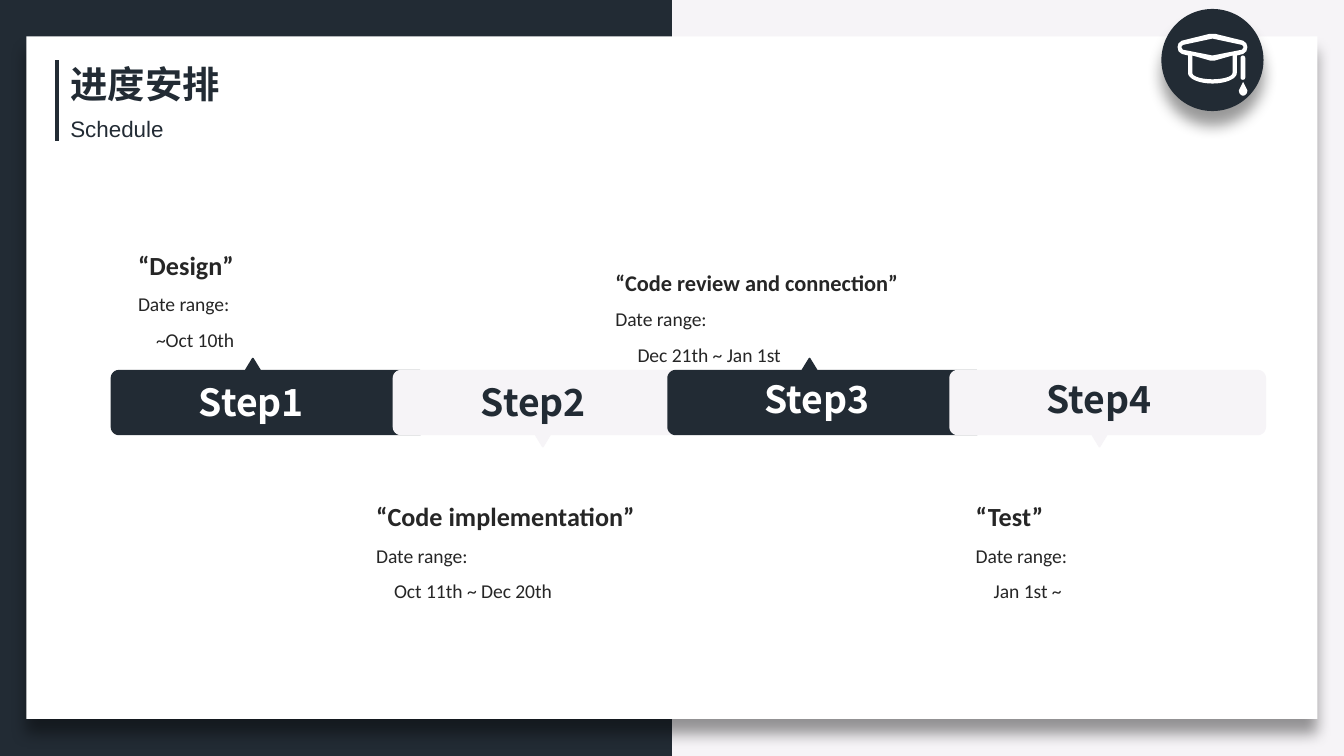
from math import cos, pi, sin

from lxml import etree
from pptx import Presentation
from pptx.dml.color import RGBColor
from pptx.enum.shapes import MSO_CONNECTOR, MSO_SHAPE
from pptx.enum.text import MSO_AUTO_SIZE
from pptx.oxml.ns import qn
from pptx.util import Cm, Pt

RECT = MSO_SHAPE.RECTANGLE
ROUNDED = MSO_SHAPE.ROUNDED_RECTANGLE
OVAL = MSO_SHAPE.OVAL
STRAIGHT = MSO_CONNECTOR.STRAIGHT
GROW = MSO_AUTO_SIZE.SHAPE_TO_FIT_TEXT

COLORS = {"navy": "222B34", "mist": "F6F4F7", "white": "FFFFFF",
          "body": "262626", "shadow": "000000"}
HEADING_FONT, LATIN_FONT, NOTE_FONT = "Noto Sans CJK SC", "Arial", "Calibri"
SLIDE_W, SLIDE_H = 25.4, 14.29

# Step label, its offset inside the bar, its top
STEPS = [("Step1", 1.4, 7.04), ("Step2", 1.4, 7.04),
         ("Step3", 1.57, 6.99), ("Step4", 1.57, 6.99)]
# Box, heading, heading size, date range, date indent
NOTES = [
    ((2.36, 4.29, 4.8, 2.49), "“Design”", 14, "~Oct 10th", 0.34),
    ((6.86, 9.04, 6.48, 2.49), "“Code implementation”", 14,
     "Oct 11th ~ Dec 20th", 0.34),
    ((11.38, 4.7, 7.54, 2.36), "“Code review and connection”", 12,
     "Dec 21th ~ Jan 1st", 0.42),
    ((18.19, 9.04, 4.8, 2.49), "“Test”", 14, "Jan 1st ~", 0.34),
]


def rgb(name):
    return RGBColor.from_string(COLORS[name])


def paint(shape, fill, line_width=0):
    shape.shadow.inherit = False
    shape.fill.solid()
    shape.fill.fore_color.rgb = rgb(fill)
    if line_width:
        shape.line.color.rgb = rgb(fill)
        shape.line.width = Pt(line_width)
    else:
        shape.line.fill.background()
    return shape


def add_preset(shapes, kind, box, fill):
    return paint(shapes.add_shape(kind, *map(Cm, box)), fill)


def drop_shadow(shape):
    effects = shape._element.spPr.find(qn("a:effectLst"))
    outer = etree.SubElement(effects, qn("a:outerShdw"), blurRad=str(Pt(8)),
                             dist=str(Pt(8)), dir="5400000", algn="t",
                             rotWithShape="0")
    color = etree.SubElement(outer, qn("a:srgbClr"), val=COLORS["shadow"])
    etree.SubElement(color, qn("a:alpha"), val="40000")


def arc(cx, cy, rx, ry, start, end, steps=12):
    """Points on an ellipse; angles in degrees, clockwise from the right."""
    angles = [(start + (end - start) * i / steps) * pi / 180
              for i in range(steps + 1)]
    return [(cx + rx * cos(a), cy + ry * sin(a)) for a in angles]


def mirrored(right_half):
    return right_half + [(-x, y) for x, y in reversed(right_half)]


def add_outline(shapes, left, top, contours, fill, line_width=0):
    placed = [[(Cm(left + x), Cm(top + y)) for x, y in contour]
              for contour in contours]
    builder = shapes.build_freeform(*placed[0][0], scale=1.0)
    for index, contour in enumerate(placed):
        if index:
            builder.move_to(*contour[0])
        builder.add_line_segments(contour[1:], close=True)
    return paint(builder.convert_to_shape(), fill, line_width)


def add_run(paragraph, text, size, font, color, bold=False):
    run = paragraph.add_run()
    run.text = text
    run.font.size = Pt(size)
    run.font.bold = bold
    run.font.color.rgb = rgb(color)
    run.font.name = font
    etree.SubElement(run.font._element, qn("a:ea"), typeface=font)


def add_text_frame(slide, box, wrap=False):
    frame = slide.shapes.add_textbox(*map(Cm, box)).text_frame
    frame.word_wrap = wrap
    frame.auto_size = GROW
    return frame


def add_backdrop(slide, left, top, width, height):
    slide.background.fill.solid()
    slide.background.fill.fore_color.rgb = rgb("mist")
    add_preset(slide.shapes, RECT, (left, top, width / 2, height), "navy")
    card = (left + 0.5, top + 0.69, width - 1, height - 1.39)
    drop_shadow(add_preset(slide.shapes, RECT, card, "white"))


def add_heading(slide, left, top, height):
    rule = slide.shapes.add_connector(STRAIGHT, Cm(left), Cm(top),
                                      Cm(left), Cm(top + height))
    rule.line.color.rgb = rgb("navy")
    rule.line.width = Pt(2.25)
    etree.SubElement(rule._element.spPr, qn("a:effectLst"))
    title = add_text_frame(slide, (left, top - 0.1, 3.35, 1.11))
    add_run(title.paragraphs[0], "进度安排", 20, HEADING_FONT, "navy", True)
    subtitle = add_text_frame(slide, (left, top + 0.92, 2.29, 0.77))
    add_run(subtitle.paragraphs[0], "Schedule", 12, LATIN_FONT, "navy")


def add_graduation_badge(slide, left, top, size):
    shapes = slide.shapes.add_group_shape().shapes
    drop_shadow(add_preset(shapes, OVAL, (left, top, size, size), "navy"))
    axis, cap_top = left + size / 2, top + 0.47
    silhouette = mirrored([(0, 0), (0.05, 0), (0.58, 0.13), (0.64, 0.18),
                           (0.66, 0.25), (0.64, 0.33), (0.58, 0.38),
                           (0.46, 0.41)] + arc(0, 0.74, 0.46, 0.2, 0, 90))
    board = mirrored([(0, 0.09), (0.56, 0.21), (0.59, 0.25),
                      (0.56, 0.3), (0, 0.41)])
    crown = mirrored([(0, 0.51), (0.03, 0.51), (0.38, 0.41)]
                     + arc(0, 0.74, 0.38, 0.12, 0, 90))
    add_outline(shapes, axis, cap_top, [silhouette, board, crown], "white")
    cord = add_preset(shapes, ROUNDED,
                      (axis + 0.53, cap_top + 0.41, 0.09, 0.46), "white")
    cord.adjustments[0] = 0.5
    tassel = [(0, 0)] + arc(0, 0.16, 0.08, 0.1, 0, 180)
    add_outline(shapes, axis + 0.58, cap_top + 0.91, [tassel], "white")


def add_step_bar(slide, left, top, width, height, dark):
    """Rounded bar with a pointer: up when dark, down when light."""
    radius, tip, half = 0.14, 0.23, 0.14
    corners = [(radius, radius, 180), (width - radius, radius, 270),
               (width - radius, height - radius, 0),
               (radius, height - radius, 90)]
    sides = [arc(x, y, radius, radius, start, start + 90, 6)
             for x, y, start in corners]
    if dark:
        sides.insert(1, [(2.67 - half, 0), (2.67, -tip), (2.67 + half, 0)])
    else:
        sides.insert(3, [(2.82 + half, height), (2.82, height + tip),
                         (2.82 - half, height)])
    add_outline(slide.shapes, left, top, [sum(sides, [])],
                "navy" if dark else "mist", 1)


def add_timeline(slide, left, top, width, height):
    pair_pitch, step_pitch = 10.52, 5.33
    bar_width = width - pair_pitch - step_pitch
    lefts = [left + i // 2 * pair_pitch + i % 2 * step_pitch
             for i in range(len(STEPS))]
    for i, bar_left in enumerate(lefts):
        add_step_bar(slide, bar_left, top, bar_width, height, i % 2 == 0)
    for i, (label, offset, label_top) in enumerate(STEPS):
        frame = add_text_frame(slide, (lefts[i] + offset, label_top, 2.54, 1.11))
        add_run(frame.paragraphs[0], label, 20, HEADING_FONT,
                "navy" if i % 2 else "white", True)


def add_note(slide, box, heading, heading_size, dates, indent):
    frame = add_text_frame(slide, box, wrap=True)
    lines = [(heading, heading_size, True), ("Date range:", 10.5, False),
             (dates, 10.5, False)]
    for i, (text, size, bold) in enumerate(lines):
        paragraph = frame.add_paragraph() if i else frame.paragraphs[0]
        paragraph.line_spacing = 1.5
        add_run(paragraph, text, size, NOTE_FONT, "body", bold)
    paragraph._p.get_or_add_pPr().set("marL", str(Cm(indent)))


def main():
    deck = Presentation()
    deck.slide_width, deck.slide_height = Cm(SLIDE_W), Cm(SLIDE_H)
    slide = deck.slides.add_slide(deck.slide_layouts[6])
    add_backdrop(slide, 0, 0, SLIDE_W, SLIDE_H)
    add_heading(slide, 1.08, 1.14, 1.52)
    add_graduation_badge(slide, 21.95, 0.17, 1.93)
    add_timeline(slide, 2.11, 7.01, 21.8, 1.2)
    for note in NOTES:
        add_note(slide, *note)
    deck.save("out.pptx")


if __name__ == "__main__":
    main()
